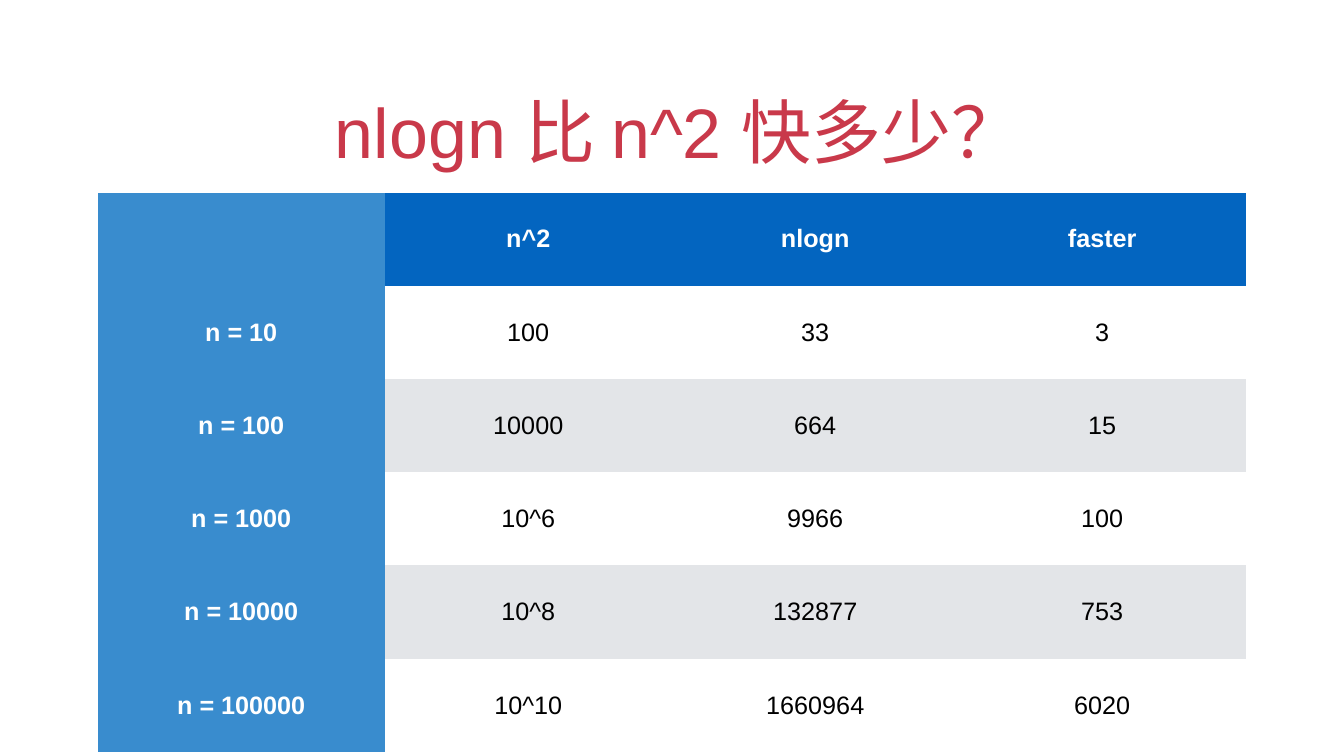
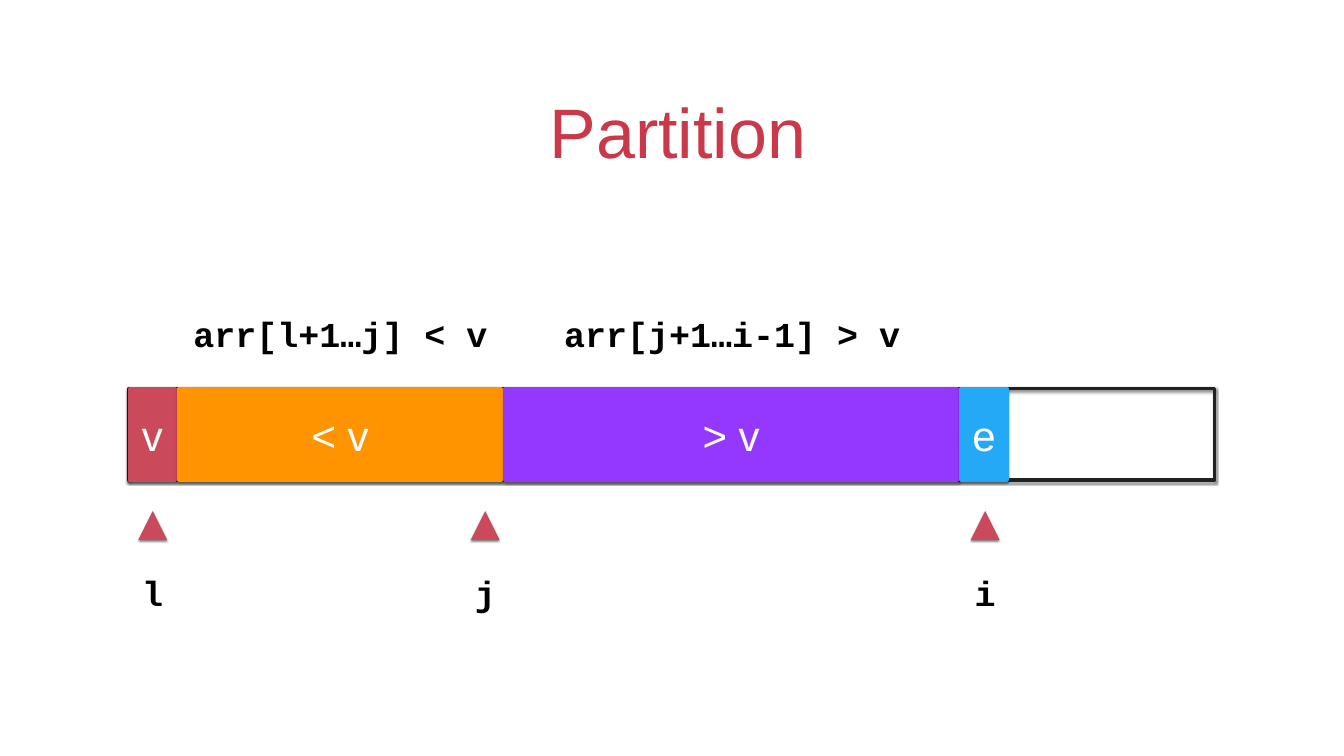
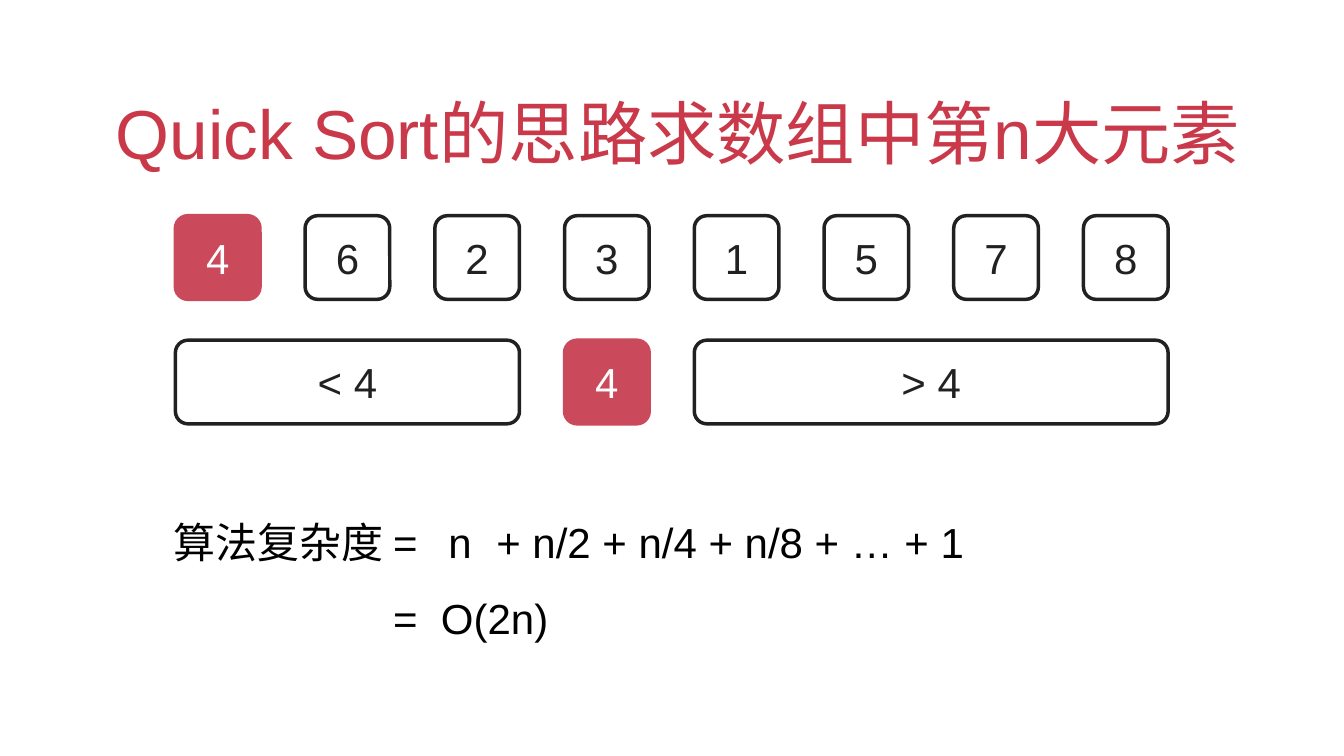
from lxml import etree
from pptx import Presentation
from pptx.dml.color import RGBColor
from pptx.enum.shapes import MSO_SHAPE
from pptx.enum.text import MSO_ANCHOR, MSO_AUTO_SIZE, PP_ALIGN
from pptx.oxml.ns import qn
from pptx.util import Inches, Pt

TITLE_RED = RGBColor(0xC9, 0x39, 0x4A)
PIVOT_RED = RGBColor(0xCA, 0x49, 0x5A)
ORANGE = RGBColor(0xFF, 0x93, 0x00)
PURPLE = RGBColor(0x94, 0x37, 0xFF)
SKY = RGBColor(0x23, 0xA9, 0xF6)
INK = RGBColor(0x21, 0x21, 0x21)
BLACK = RGBColor(0, 0, 0)
WHITE = RGBColor(0xFF, 0xFF, 0xFF)
HEADER_BLUE = RGBColor(0x03, 0x65, 0xC0)
COLUMN_BLUE = RGBColor(0x39, 0x8C, 0xCE)
BAND_GREY = RGBColor(0xE3, 0xE5, 0xE8)
SANS, MONO = "Arial", "Courier New"
INSET = Inches(0.06)
NO_STYLE_NO_GRID = "{2D5ABB26-0587-4C30-8999-92F81FD0307C}"


class Deck:
    """Hold the shared style and the current slide."""

    def __init__(self):
        self.presentation = Presentation()
        self.presentation.slide_width = Inches(26.67)
        self.presentation.slide_height = Inches(15)
        self.slide = None

    def add_slide(self, title, size=100):
        """Start a slide with its title."""
        self.slide = self.presentation.slides.add_slide(self.presentation.slide_layouts[6])
        heading = self.text(title, 1.94, 1.27, 22.78, 2.22, size, TITLE_RED)
        heading.vertical_anchor = MSO_ANCHOR.BOTTOM
        heading.paragraphs[0]._p.get_or_add_pPr().set("indent", str(Inches(0.25)))

    def style_frame(self, frame):
        """Give a text frame the common insets and anchor."""
        frame.margin_left = frame.margin_right = INSET
        frame.margin_top = frame.margin_bottom = INSET
        frame.vertical_anchor = MSO_ANCHOR.MIDDLE
        frame.word_wrap = True

    def style_paragraph(self, paragraph, size, color, font=SANS, bold=False, align=PP_ALIGN.CENTER):
        """Set the alignment and font of a paragraph."""
        paragraph.alignment = align
        paragraph.font.name = font
        paragraph.font.size = Pt(size)
        paragraph.font.bold = bold
        paragraph.font.color.rgb = color

    def text(self, text, left, top, width, height, size, color, font=SANS, bold=False):
        """Add a centred text box and return its frame."""
        box = self.slide.shapes.add_textbox(Inches(left), Inches(top), Inches(width), Inches(height))
        frame = box.text_frame
        self.style_frame(frame)
        frame.text = text
        self.style_paragraph(frame.paragraphs[0], size, color, font, bold)
        return frame

    def code(self, text, left, top, width, wrap=True):
        """Add a line of bold code."""
        frame = self.text(text, left, top, width, 0.92, 50, BLACK, MONO, True)
        frame.word_wrap = wrap
        frame.auto_size = MSO_AUTO_SIZE.SHAPE_TO_FIT_TEXT

    def shadow(self, shape):
        """Add a soft shadow below a shape."""
        shape.shadow.inherit = False
        effects = shape.element.spPr.find(qn("a:effectLst"))
        outer = etree.SubElement(effects, qn("a:outerShdw"), blurRad=str(Pt(3)), dist=str(Pt(2)),
                                 dir="5400000", rotWithShape="0")
        color = etree.SubElement(outer, qn("a:srgbClr"), val="000000")
        etree.SubElement(color, qn("a:alpha"), val="50000")

    def block(self, text, left, top, width, height, fill=None, rounded=False, shadow=False):
        """Add a filled or outlined block with a label."""
        preset = MSO_SHAPE.ROUNDED_RECTANGLE if rounded else MSO_SHAPE.RECTANGLE
        shape = self.slide.shapes.add_shape(preset, Inches(left), Inches(top), Inches(width), Inches(height))
        if rounded:
            shape.adjustments[0] = 0.15 * 1.66 / min(width, height)
        if fill is None:
            shape.fill.background()
        else:
            shape.fill.solid()
            shape.fill.fore_color.rgb = fill
        shape.line.color.rgb = INK if fill is None else fill
        shape.line.width = Pt(5)
        shape.shadow.inherit = False
        if shadow:
            self.shadow(shape)
        if text:
            self.style_frame(shape.text_frame)
            shape.text_frame.text = text
            self.style_paragraph(shape.text_frame.paragraphs[0], 60, INK if fill is None else WHITE)

    def pointer(self, name, center):
        """Add an upward triangle with an index name below."""
        top, bottom, half = 10.14, 10.71, 0.285
        builder = self.slide.shapes.build_freeform(Inches(center), Inches(top))
        builder.add_line_segments([(Inches(center + half), Inches(bottom)),
                                   (Inches(center - half), Inches(bottom))], close=True)
        triangle = builder.convert_to_shape()
        triangle.fill.solid()
        triangle.fill.fore_color.rgb = PIVOT_RED
        triangle.line.fill.background()
        self.shadow(triangle)
        self.code(name, center - 0.27, 11.3, 0.54, wrap=False)

    def table(self, rows, left, top, column_width, row_height):
        """Add a table with a header row, a header column and banded rows."""
        frame = self.slide.shapes.add_table(
            len(rows), len(rows[0]), Inches(left), Inches(top),
            Inches(column_width * len(rows[0])), Inches(row_height * len(rows)))
        next(frame.element.iter(qn("a:tableStyleId"))).text = NO_STYLE_NO_GRID
        for row_index, values in enumerate(rows):
            frame.table.rows[row_index].height = Inches(row_height)
            for column_index, value in enumerate(values):
                cell = frame.table.cell(row_index, column_index)
                heading = row_index == 0 or column_index == 0
                if column_index == 0:
                    fill = COLUMN_BLUE
                elif row_index == 0:
                    fill = HEADER_BLUE
                else:
                    fill = WHITE if row_index % 2 else BAND_GREY
                cell.fill.solid()
                cell.fill.fore_color.rgb = fill
                cell.margin_left = cell.margin_right = INSET
                cell.margin_top = cell.margin_bottom = INSET
                cell.vertical_anchor = MSO_ANCHOR.MIDDLE
                cell.text = value
                self.style_paragraph(cell.text_frame.paragraphs[0], 36,
                                     WHITE if heading else BLACK, bold=heading)

    def formula(self, lines, left, top, width, height):
        """Add formula lines, each aligned at its own tab stops."""
        box = self.slide.shapes.add_textbox(Inches(left), Inches(top), Inches(width), Inches(height))
        frame = box.text_frame
        self.style_frame(frame)
        frame.auto_size = MSO_AUTO_SIZE.SHAPE_TO_FIT_TEXT
        frame.text = "\n".join(line for line, _ in lines)
        for paragraph, (_, stops) in zip(frame.paragraphs, lines):
            paragraph.line_spacing = 1.5
            tabs = etree.SubElement(paragraph._p.get_or_add_pPr(), qn("a:tabLst"))
            for stop in stops:
                etree.SubElement(tabs, qn("a:tab"), pos=str(Inches(stop)), algn="l")
            self.style_paragraph(paragraph, 60, BLACK, align=PP_ALIGN.LEFT)


def build_comparison(deck):
    """Compare the growth of n^2 and nlogn."""
    deck.add_slide("nlogn 比 n^2 快多少？")
    deck.table([
        ("", "n^2", "nlogn", "faster"),
        ("n = 10", "100", "33", "3"),
        ("n = 100", "10000", "664", "15"),
        ("n = 1000", "10^6", "9966", "100"),
        ("n = 10000", "10^8", "132877", "753"),
        ("n = 100000", "10^10", "1660964", "6020"),
    ], 1.94, 3.82, 5.695, 1.85)


def build_partition(deck):
    """Show the array while it is being partitioned."""
    deck.add_slide("Partition")
    array_top, array_height, gap = 7.71, 1.81, 0.07
    deck.block("", 2.56, array_top, 21.54, array_height, shadow=True)
    left = 2.57
    for label, width, color in (("v", 0.91, PIVOT_RED), ("< v", 6.4, ORANGE),
                                ("> v", 8.98, PURPLE), ("e", 0.91, SKY)):
        deck.block(label, left, array_top, width, array_height, color, shadow=True)
        left += width + gap
    for index, center in (("l", 3.03), ("j", 9.63), ("i", 19.55)):
        deck.pointer(index, center)
    deck.code("arr[l+1…j] < v", 3.51, 6.16, 6.49)
    deck.code("arr[j+1…i-1] > v", 10.09, 6.16, 8.88)


def build_selection(deck):
    """Show how one partition step narrows the search."""
    deck.add_slide("Quick Sort的思路求数组中第n大元素", 99)
    first, last, width, height = 3.48, 21.5, 1.68, 1.66
    numbers = "46231578"
    step = (last - first) / (len(numbers) - 1)
    for position, number in enumerate(numbers):
        deck.block(number, first + position * step, 4.28, width, height,
                   PIVOT_RED if position == 0 else None, rounded=True)
    for label, start, count, color in (("< 4", 0, 3, None), ("> 4", 4, 4, None), ("4", 3, 1, PIVOT_RED)):
        deck.block(label, first + start * step, 6.75, width + (count - 1) * step, height,
                   color, rounded=True)
    deck.formula([
        ("算法复杂度 =\tn\t+ n/2 + n/4 + n/8 + … + 1", (5.45, 6.4)),
        ("\t=\tO(2n)", (4.35, 5.3)),
    ], 3.39, 9.82, 22.46, 2.86)


def main():
    """Build and save the three slides."""
    deck = Deck()
    build_comparison(deck)
    build_partition(deck)
    build_selection(deck)
    deck.presentation.save("out.pptx")


if __name__ == "__main__":
    main()
